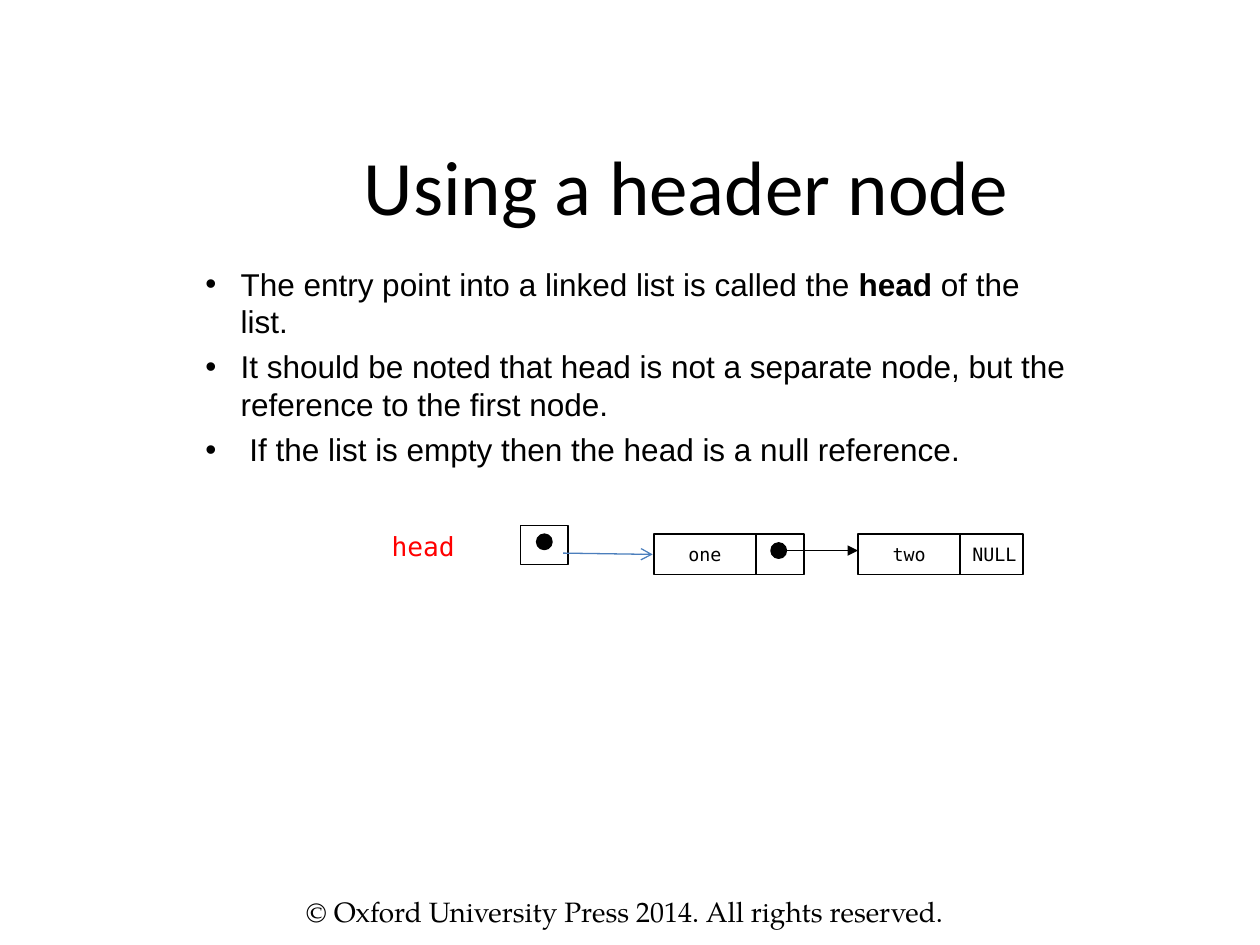
import pptx
import pptx.util
import pptx.dml.color
import pptx.enum.shapes
import pptx.enum.text
import pptx.oxml
import pptx.oxml.ns

Inches = pptx.util.Inches
Pt = pptx.util.Pt
ALIGN = pptx.enum.text.PP_ALIGN
MIDDLE = pptx.enum.text.MSO_ANCHOR.MIDDLE
SHAPE = pptx.enum.shapes.MSO_SHAPE
MONO = "DejaVu Sans Mono"
BLACK = "000000"
NODE_TOP, NODE_HEIGHT = 4.24, 0.32
DATA_WIDTH = 0.81

BULLETS = [
    [("The entry point into a linked list is called the ", False),
     ("head", True), ("\u00a0of the list.".replace("\u00a0", " "), False)],
    [("It should be noted that head is not a separate node, "
      "but the reference to the first node.", False)],
    [(" If the list is empty then the head is a null reference.", False)],
]


def rgb(value):
    return pptx.dml.color.RGBColor.from_string(value)


def set_values(target, values):
    for name, value in values.items():
        setattr(target, name, value)


def set_font(font, name, size, color=BLACK, bold=False):
    set_values(font, {"name": name, "size": Pt(size), "bold": bold})
    font.color.rgb = rgb(color)


def append_xml(parent, tag, attributes=""):
    namespace = pptx.oxml.ns.nsdecls("a")
    element = pptx.oxml.parse_xml(f"<a:{tag} {namespace} {attributes}/>")
    parent.append(element)
    return element


def place(item, bounds):
    set_values(item, dict(zip(("left", "top", "width", "height"), map(Inches, bounds))))


def add_label(page, bounds, text, name, size, color=BLACK):
    box = page.shapes.add_textbox(*map(Inches, bounds))
    box.text_frame.word_wrap = True
    para = box.text_frame.paragraphs[0]
    para.text = text
    set_font(para.font, name, size, color)


def add_bullets(page, bounds):
    frame = page.shapes.add_textbox(*map(Inches, bounds)).text_frame
    set_values(frame, {"word_wrap": True,
                       "margin_left": Inches(0.07), "margin_right": Inches(0.07),
                       "margin_top": Inches(0.04), "margin_bottom": Inches(0.04)})
    for index, pieces in enumerate(BULLETS):
        para = frame.add_paragraph() if index else frame.paragraphs[0]
        indent = Inches(0.28)
        properties = para._p.get_or_add_pPr()
        properties.set("marL", str(indent))
        properties.set("indent", str(-indent))
        append_xml(properties, "buFont", 'typeface="Arial"')
        append_xml(properties, "buChar", 'char="•"')
        if index:
            para.space_before = Pt(4.2)
        for text, bold in pieces:
            span = para.add_run()
            span.text = text
            set_font(span.font, "Arial", 18, bold=bold)


def add_outline(page, kind, bounds, fill=None):
    shape = page.shapes.add_shape(kind, *map(Inches, bounds))
    shape.shadow.inherit = False
    if fill:
        shape.fill.solid()
        shape.fill.fore_color.rgb = rgb(fill)
    else:
        shape.fill.background()
    shape.line.color.rgb = rgb(BLACK)
    shape.line.width = Pt(1)
    return shape


def add_cell(page, bounds, text="", align=ALIGN.CENTER):
    cell = add_outline(page, SHAPE.RECTANGLE, bounds)
    if text:
        set_values(cell.text_frame, {"word_wrap": False, "vertical_anchor": MIDDLE})
        para = cell.text_frame.paragraphs[0]
        set_values(para, {"text": text, "alignment": align})
        set_font(para.font, MONO, 10.5)


def add_node(page, left, text, link_width, link_text=""):
    add_cell(page, (left, NODE_TOP, DATA_WIDTH, NODE_HEIGHT), text)
    add_cell(page, (left + DATA_WIDTH, NODE_TOP, link_width, NODE_HEIGHT),
             link_text, ALIGN.LEFT)


def add_dot(page, left, top):
    add_outline(page, SHAPE.OVAL, (left, top, 0.12, 0.12), BLACK)


def add_arrow(page, start, end, color, width, head):
    arrow = page.shapes.add_connector(pptx.enum.shapes.MSO_CONNECTOR.STRAIGHT,
                                      *map(Inches, start + end))
    arrow.line.color.rgb = rgb(color)
    arrow.line.width = Pt(width)
    append_xml(arrow.line._get_or_add_ln(), "tailEnd", f'type="{head}"')
    append_xml(arrow._element.spPr, "effectLst")


def main():
    deck = pptx.Presentation()
    deck.slide_width, deck.slide_height = Inches(10), Inches(7.5)
    page = deck.slides.add_slide(deck.slide_layouts[5])

    # Title, text and footer
    title = page.shapes.title
    place(title, (2.25, 1.12, 6.39, 0.69))
    title.text_frame.vertical_anchor = MIDDLE
    para = title.text_frame.paragraphs[0]
    set_values(para, {"text": "Using a header node", "alignment": ALIGN.CENTER})
    set_font(para.font, "Calibri", 44)
    add_bullets(page, (1.56, 2.06, 7.03, 3.9))
    add_label(page, (2.33, 7.05, 5.92, 0.37),
              "© Oxford University Press 2014. All rights reserved.",
              "TeX Gyre Pagella", 16)

    # List nodes
    add_node(page, 6.81, "two", 0.5, "NULL")
    add_node(page, 5.19, "one", 0.38)
    add_dot(page, 6.12, 4.31)
    add_arrow(page, (6.19, 4.37), (6.81, 4.37), BLACK, 1, "triangle")

    # Head reference
    add_dot(page, 4.26, 4.24)
    add_cell(page, (4.13, 4.17, 0.38, 0.31))
    add_label(page, (3.01, 4.16, 1.19, 0.35), "head", MONO, 15, "FF0000")
    add_arrow(page, (4.47, 4.39), (5.18, 4.4), "4B7EBC", 0.75, "arrow")

    deck.save("out.pptx")


if __name__ == "__main__":
    main()
